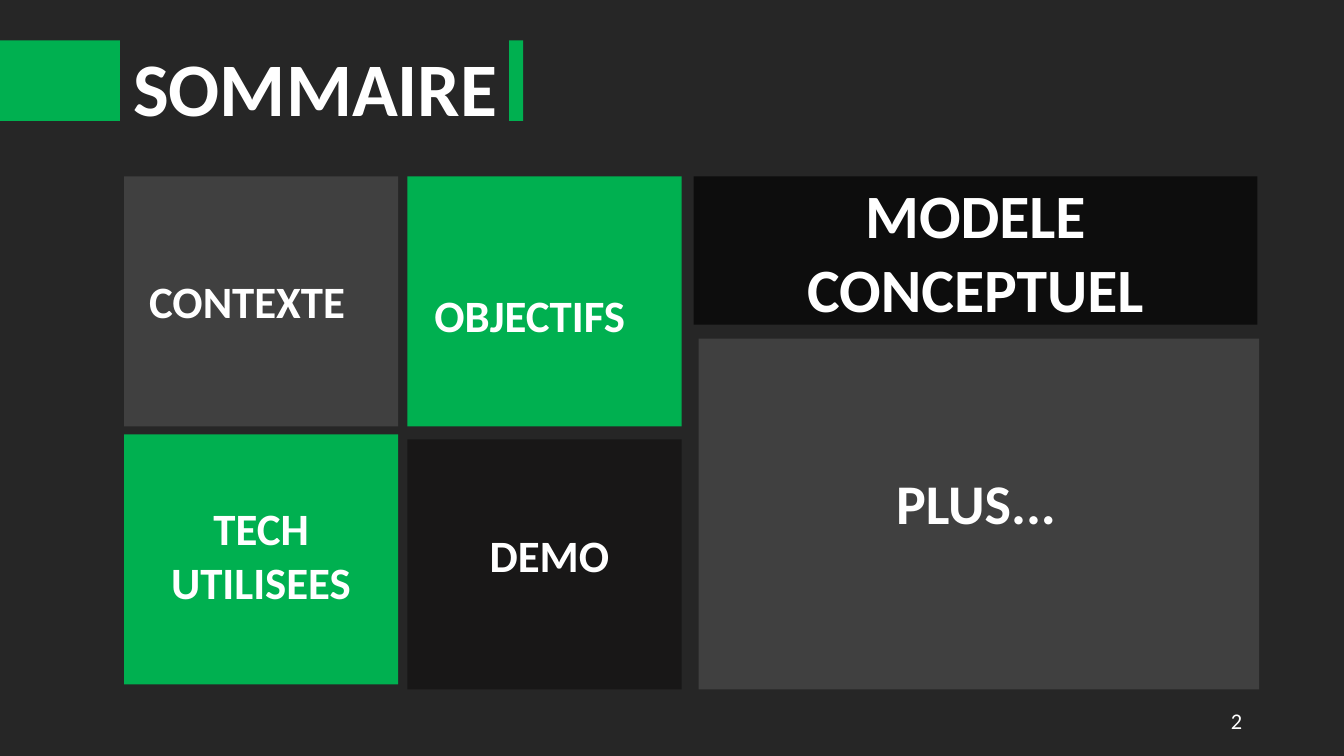
from pptx import Presentation
from pptx.dml.color import RGBColor
from pptx.enum.shapes import MSO_SHAPE as Shape
from pptx.enum.text import MSO_ANCHOR as Anchor, MSO_AUTO_SIZE as Fit, PP_ALIGN as Align
from pptx.util import Inches, Pt

GREEN, GREY, BLACK, DARK = "00B050", "404040", "0D0D0D", "181717"
WHITE, BACKGROUND = "FFFFFF", "262626"
TILE_SIZE = (2.72, 2.48)


def color(value):
    return RGBColor.from_string(value)


class SlideBuilder:
    font = {"name": "Calibri", "bold": True}

    def __init__(self, deck):
        self.slide = deck.slides.add_slide(deck.slide_layouts[5])
        fill = self.slide.background.fill
        fill.solid()
        fill.fore_color.rgb = color(BACKGROUND)

    def set_text(self, box, words, size, align=Align.CENTER, anchor=Anchor.TOP, fit=Fit.NONE, **changes):
        frame = box.text_frame
        frame_format = {"word_wrap": True, "auto_size": fit, "vertical_anchor": anchor}
        for name, value in frame_format.items():
            setattr(frame, name, value)
        para = frame.paragraphs[0]
        para.alignment = align
        span = para.add_run()
        span.text = words
        for name, value in {**self.font, "size": Pt(size), **changes}.items():
            setattr(span.font, name, value)
        span.font.color.rgb = color(WHITE)

    def title(self, words, place, size):
        box = self.slide.shapes.title
        for name, value in zip(("left", "top", "width", "height"), place):
            setattr(box, name, Inches(value))
        self.set_text(box, words, size, Align.LEFT)

    def block(self, place, fill, parent=None):
        shapes = (parent or self.slide).shapes
        box = shapes.add_shape(Shape.RECTANGLE, *map(Inches, place))
        box.shadow.inherit = False
        box.fill.solid()
        box.fill.fore_color.rgb = color(fill)
        box.line.fill.background()
        return box

    def label(self, words, place, size, parent=None, **style):
        shapes = (parent or self.slide).shapes
        box = shapes.add_textbox(*map(Inches, place))
        self.set_text(box, words, size, **style)

    def tile(self, words, place, fill, label_place, size=32, align=Align.CENTER):
        group = self.slide.shapes.add_group_shape()
        self.block(place, fill, group)
        self.label(words, label_place, size, group, align=align, fit=Fit.SHAPE_TO_FIT_TEXT)


deck = Presentation()
deck.slide_width, deck.slide_height = Inches(13.33), Inches(7.5)
page = SlideBuilder(deck)

page.title("SOMMAIRE", (1.22, 0.36, 4.63, 1.01), 54)
for left, width in ((0, 1.19), (5.05, 0.14)):
    page.block((left, 0.4, width, 0.8), GREEN)

model = page.block((6.88, 1.75, 5.59, 1.47), BLACK)
page.set_text(model, "MODELE CONCEPTUEL", 44, anchor=Anchor.MIDDLE)

tiles = (
    ("CONTEXTE", (1.23, 1.75), GREY, (1.38, 2.67, 2.4, 0.64), Align.LEFT),
    ("OBJECTIFS", (4.04, 1.75), GREEN, (4.21, 2.81, 2.15, 0.64), Align.LEFT),
    ("DEMO", (4.04, 4.36), DARK, (4.15, 5.19, 2.6, 0.64), Align.CENTER),
    ("TECH UTILISEES", (1.23, 4.31), GREEN, (1.39, 4.92, 2.4, 1.18), Align.CENTER),
)
for words, corner, fill, label_place, align in tiles:
    page.tile(words, corner + TILE_SIZE, fill, label_place, align=align)
page.tile("PLUS...", (6.93, 3.36, 5.56, 3.48), GREY, (8.37, 4.6, 2.62, 0.77), 40)

page.label("2", (9.42, 6.95, 3, 0.4), 16, align=Align.RIGHT, anchor=Anchor.MIDDLE, bold=False)

deck.save("out.pptx")
